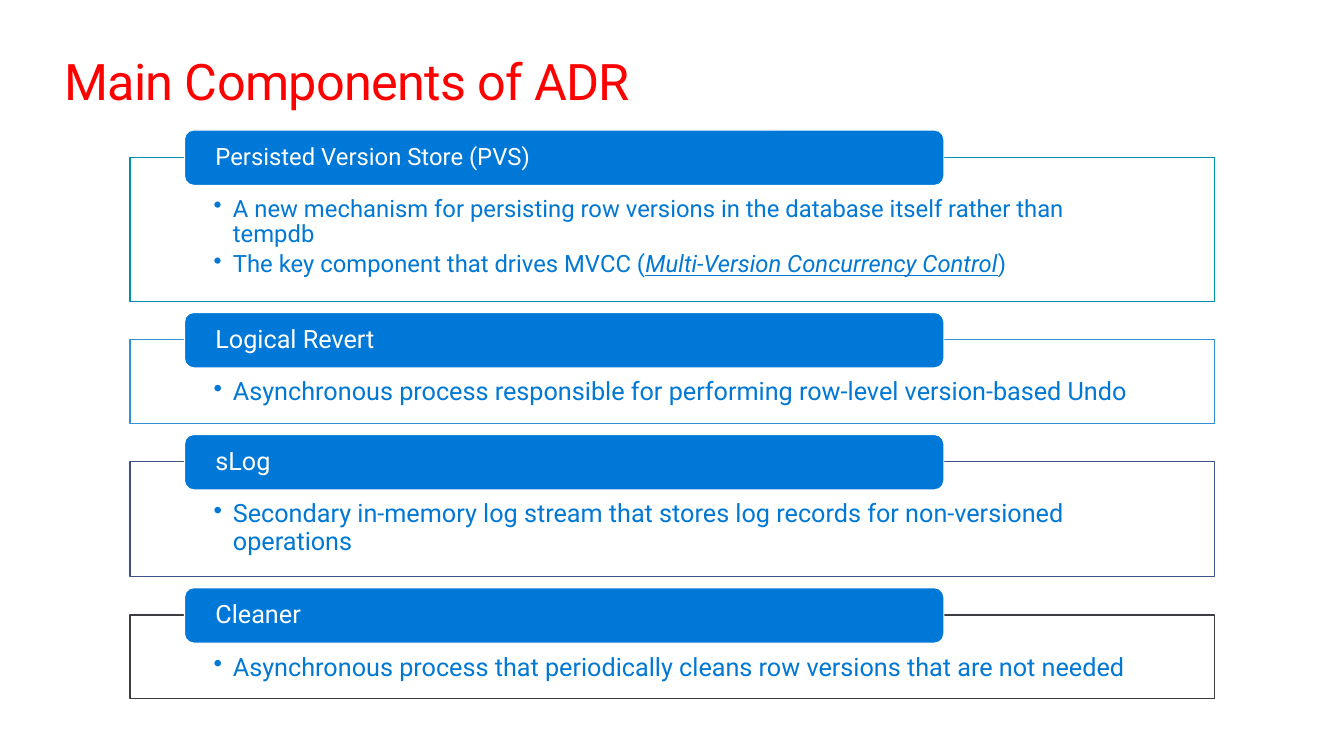
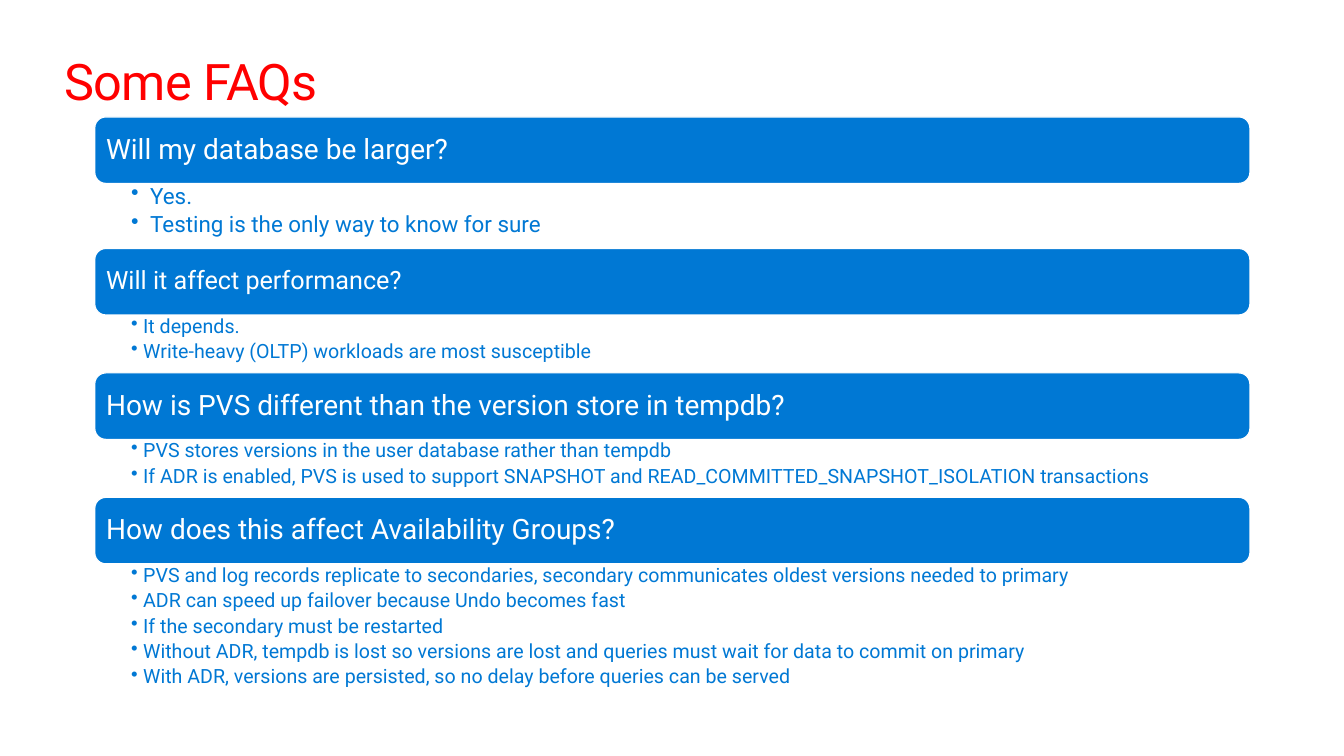
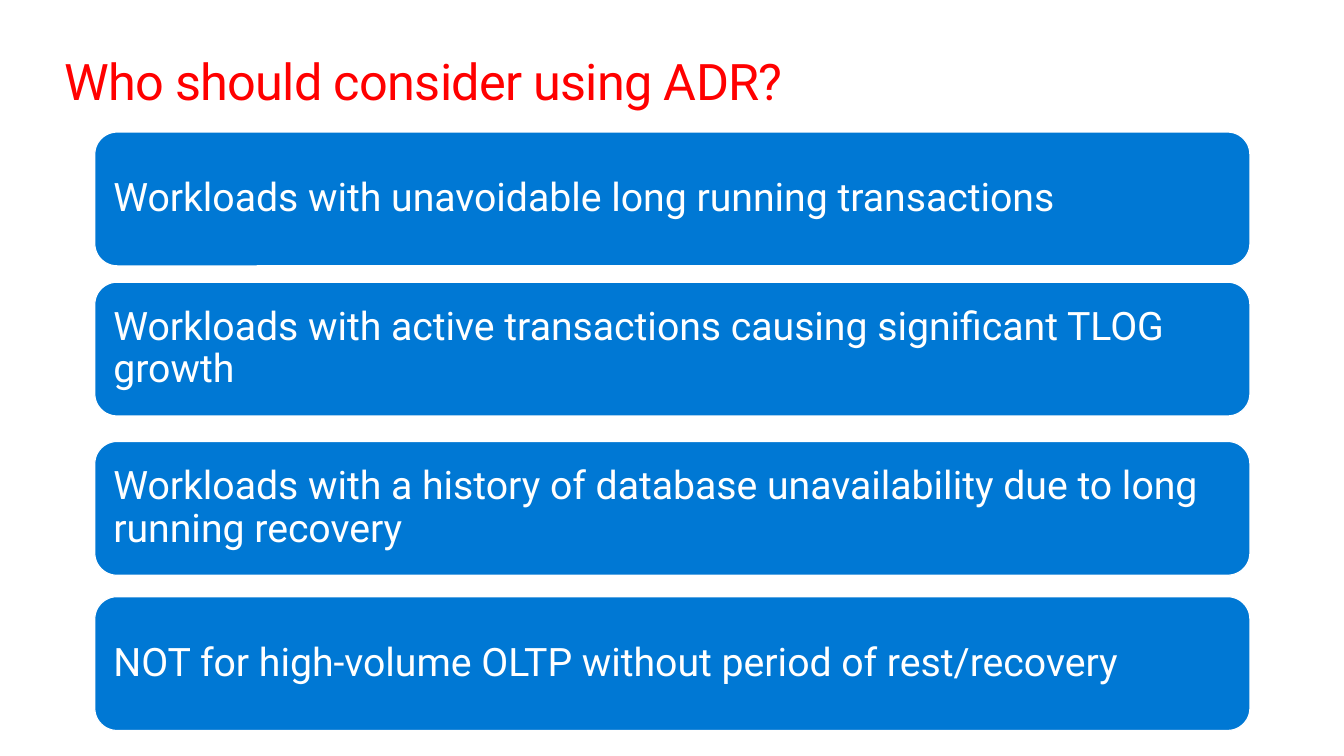
from lxml import etree
from pptx import Presentation, util as u
from pptx.dml.color import RGBColor
from pptx.enum import shapes, text
from pptx.oxml.ns import qn

WIDTH, HEIGHT = u.Inches(13.33), u.Inches(7.5)
FONT = "Roboto"
RED, BLUE, HEADER_BLUE, WHITE = "FF0000", "0078D4", "0078D7", "FFFFFF"
BORDER = u.Pt(0.85)
BAR_LEFT, BAR_WIDTH = 7.05, 85.95
RECT = shapes.MSO_SHAPE.RECTANGLE
ROUNDED = shapes.MSO_SHAPE.ROUNDED_RECTANGLE
TOP, MIDDLE = text.MSO_ANCHOR.TOP, text.MSO_ANCHOR.MIDDLE

# Heading, size, outline colour, height of the outlined box, bullets
COMPONENTS = [
    ("Persisted Version Store (PVS)", 17, "0090A8", 19.07, [
        "A new mechanism for persisting row versions in the database itself rather than tempdb",
        ["The key component that drives MVCC (",
         ("Multi-Version Concurrency Control",), ")"]]),
    ("Logical Revert", 18, "3190D8", 11.07, [
        "Asynchronous process responsible for performing row-level version-based Undo"]),
    ("sLog", 18, "3E5285", 15.2, [
        "Secondary in-memory log stream that stores log records for non-versioned operations"]),
    ("Cleaner", 18, "3C3C41", 11.07, [
        "Asynchronous process that periodically cleans row versions that are not needed"]),
]

# Question, its size, height of the answers, their size and indent, answers
FAQS = [
    ("Will my database be larger?", 20, 8.67, 16, 0.19, [
        "Yes.",
        "Testing is the only way to know for sure"]),
    ("Will it affect performance?", 18, 7.73, 14, 0.12, [
        "It depends.",
        "Write-heavy (OLTP) workloads are most susceptible"]),
    ("How is PVS different than the version store in tempdb?", 20, 7.73, 14, 0.12, [
        "PVS stores versions in the user database rather than tempdb",
        "If ADR is enabled, PVS is used to support SNAPSHOT and "
        "READ_COMMITTED_SNAPSHOT_ISOLATION transactions"]),
    ("How does this affect Availability Groups?", 20, 18.8, 14, 0.12, [
        "PVS and log records replicate to secondaries, "
        "secondary communicates oldest versions needed to primary",
        "ADR can speed up failover because Undo becomes fast",
        "If the secondary must be restarted",
        "Without ADR, tempdb is lost so versions are lost "
        "and queries must wait for data to commit on primary",
        "With ADR, versions are persisted, so no delay before queries can be served"]),
]

# Top edge and wording
CANDIDATES = [
    (17.47, "Workloads with unavoidable long running transactions"),
    (37.33, "Workloads with active transactions causing significant TLOG growth"),
    (58.4, "Workloads with a history of database unavailability due to long running recovery"),
    (78.93, "NOT for high-volume OLTP without period of rest/recovery"),
]


def rgb(value):
    return RGBColor.from_string(value)


def area(left, top, width, height):
    """Turn percentages of the slide's size into lengths."""
    return (round(WIDTH * left / 100), round(HEIGHT * top / 100),
            round(WIDTH * width / 100), round(HEIGHT * height / 100))


def set_frame(box, insets, anchor):
    """Insets are left, top, right and bottom, in inches."""
    frame = box.text_frame
    frame.word_wrap = True
    frame.vertical_anchor = anchor
    (frame.margin_left, frame.margin_top,
     frame.margin_right, frame.margin_bottom) = map(u.Inches, insets)
    return frame


def add_run(paragraph, words, size, color, emphasis=False):
    run = paragraph.add_run()
    run.text = words
    run.font.name, run.font.size = FONT, u.Pt(size)
    run.font.color.rgb = rgb(color)
    if emphasis:
        run.font.italic = run.font.underline = True
    return run


def add_title(slide, words):
    box = slide.shapes.add_textbox(*area(4.8, 6.67, 90.4, 8.13))
    frame = set_frame(box, (0, 0, 0, 0), TOP)
    run = add_run(frame.paragraphs[0], words, 36, RED)
    run.font._element.set("spc", "-50")


def add_panel(slide, kind, place, fill, line):
    panel = slide.shapes.add_shape(kind, *area(*place))
    panel.shadow.inherit = False
    panel.fill.solid()
    panel.fill.fore_color.rgb = rgb(fill)
    panel.line.color.rgb = rgb(line)
    panel.line.width = BORDER
    return panel


def add_bar(slide, place, words, size, insets, fill=BLUE):
    """Rounded bar with white text."""
    bar = add_panel(slide, ROUNDED, place, fill, WHITE)
    paragraph = set_frame(bar, insets, MIDDLE).paragraphs[0]
    paragraph.alignment = text.PP_ALIGN.LEFT
    paragraph.line_spacing = 0.9
    add_run(paragraph, words, size, WHITE)


def fill_bullets(box, items, size, indent, insets):
    """An item is a string or a list of pieces; a piece in a tuple is emphasised."""
    frame = set_frame(box, insets, TOP)
    for index, item in enumerate(items):
        paragraph = frame.add_paragraph() if index else frame.paragraphs[0]
        paragraph.alignment = text.PP_ALIGN.LEFT
        paragraph.line_spacing = 0.9
        paragraph.space_after = u.Pt(3)
        properties = paragraph._p.get_or_add_pPr()
        properties.set("marL", str(u.Inches(indent)))
        properties.set("indent", str(-u.Inches(indent)))
        etree.SubElement(properties, qn("a:buChar")).set("char", "•")
        for piece in [item] if isinstance(item, str) else item:
            emphasis = isinstance(piece, tuple)
            add_run(paragraph, piece[0] if emphasis else piece, size, BLUE, emphasis)


def build_components(slide):
    top, overlap, gap = 17.2, 3.6, 1.47
    for heading, size, outline, height, points in COMPONENTS:
        body = add_panel(slide, RECT, (9.68, top + overlap, 80.7, height), WHITE, outline)
        fill_bullets(body, points, size, 0.19, (0.83, 0.39, 0.83, 0.13))
        add_bar(slide, (13.73, top, 56.5, 7.33), heading, size,
                (0.28, 0, 0.28, 0), HEADER_BLUE)
        top += overlap + height + gap


def build_faqs(slide):
    top, step = 15.47, 8.73
    for question, size, height, answer_size, indent, answers in FAQS:
        add_bar(slide, (BAR_LEFT, top, BAR_WIDTH, 8.8), question, size, (0.08,) * 4)
        body = slide.shapes.add_textbox(*area(BAR_LEFT, top + step, BAR_WIDTH, height))
        fill_bullets(body, answers, answer_size, indent, (0.36, 0.02, 0.11, 0.02))
        top += step + height


def build_candidates(slide):
    for top, words in CANDIDATES:
        add_bar(slide, (BAR_LEFT, top, BAR_WIDTH, 17.7), words, 28, (0.12,) * 4)


def main():
    deck = Presentation()
    deck.slide_width, deck.slide_height = WIDTH, HEIGHT
    for title, build in [("Main Components of ADR", build_components),
                         ("Some FAQs", build_faqs),
                         ("Who should consider using ADR?", build_candidates)]:
        slide = deck.slides.add_slide(deck.slide_layouts[6])
        add_title(slide, title)
        build(slide)
    deck.save("out.pptx")


if __name__ == "__main__":
    main()
